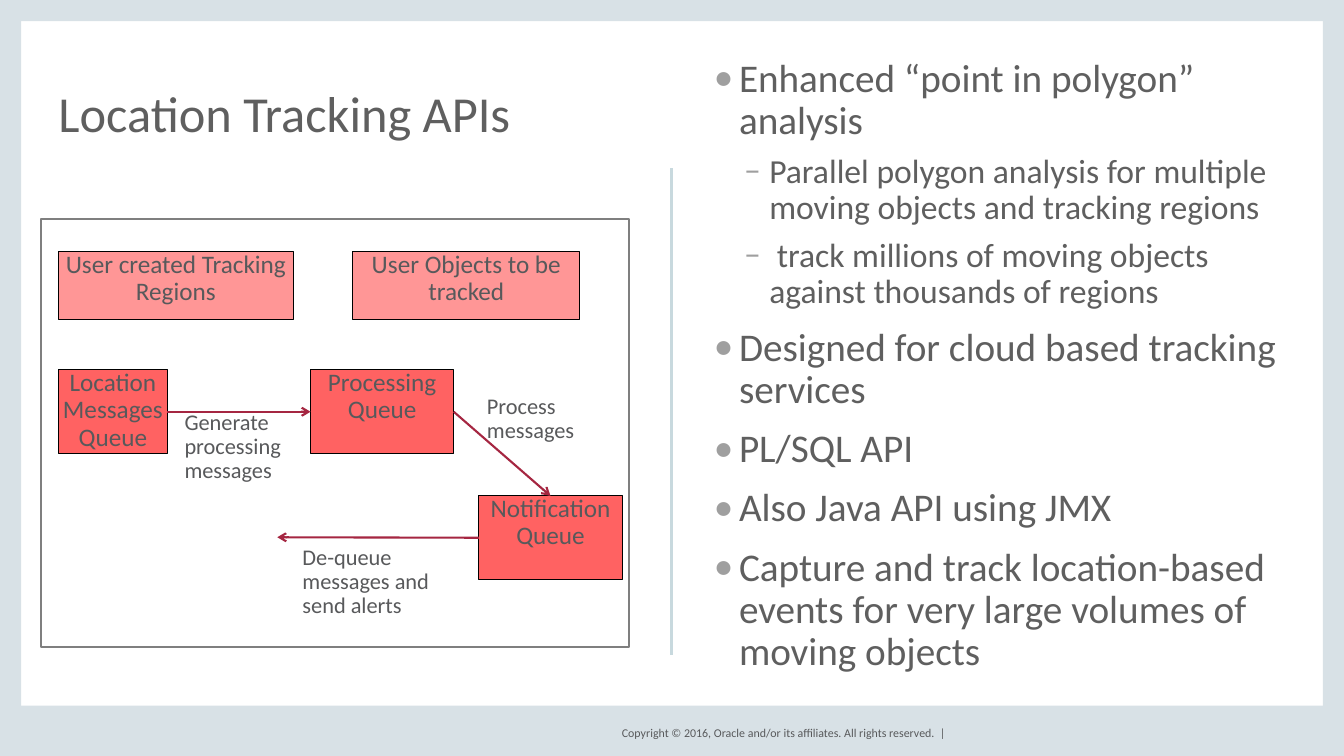
from lxml import etree
from pptx import Presentation
from pptx.dml.color import RGBColor
from pptx.enum.shapes import MSO_CONNECTOR, MSO_SHAPE
from pptx.enum.text import MSO_ANCHOR, PP_ALIGN
from pptx.oxml.ns import qn
from pptx.util import Inches, Pt

RECTANGLE, STRAIGHT = MSO_SHAPE.RECTANGLE, MSO_CONNECTOR.STRAIGHT
LEFT, CENTER, RIGHT = PP_ALIGN.LEFT, PP_ALIGN.CENTER, PP_ALIGN.RIGHT
TOP, MIDDLE, BOTTOM = MSO_ANCHOR.TOP, MSO_ANCHOR.MIDDLE, MSO_ANCHOR.BOTTOM
TOP_SIDE, LEFT_SIDE, RIGHT_SIDE = 0, 1, 3

FONT = "Calibri"
BORDER = RGBColor(0xD8, 0xE1, 0xE6)
DIVIDER = RGBColor(0xC8, 0xD9, 0xDE)
HEADING = RGBColor(0x5F, 0x5F, 0x5F)
LABEL = RGBColor(0x58, 0x59, 0x5B)
BULLET = RGBColor(0x9F, 0x9F, 0x9F)
PANEL_LINE = RGBColor(0x7F, 0x7F, 0x7F)
INPUT_FILL = RGBColor(0xFF, 0x96, 0x96)
QUEUE_FILL = RGBColor(0xFF, 0x62, 0x62)
ARROW = RGBColor(0xA5, 0x26, 0x41)
BLACK = RGBColor(0, 0, 0)

# Content: places are left, top, width, height in inches
WIDTH, HEIGHT = 13.33, 7.5
EDGE, FOOT = 0.21, 0.5
TITLE = "Location Tracking APIs"
FOOTER = "Copyright © 2016, Oracle and/or its affiliates. All rights reserved.  |"
POINTS = [  # level, text
    (0, "Enhanced “point in polygon” analysis"),
    (1, "Parallel polygon analysis for multiple moving objects and tracking regions"),
    (1, " track millions of moving objects against thousands of regions"),
    (0, "Designed for cloud based tracking services"),
    (0, "PL/SQL API"),
    (0, "Also Java API using JMX"),
    (0, "Capture and track location-based events for very large volumes of moving objects"),
]
LEVELS = [  # mark, left margin, size, space before
    ("•", 0.25, 28, 12),
    ("–", 0.55, 24, 8),
]
BOXES = {  # name: text, place, fill
    "regions": ("User created Tracking Regions", (0.58, 2.5, 2.33, 0.67), INPUT_FILL),
    "objects": ("User Objects to be tracked", (3.5, 2.5, 2.25, 0.67), INPUT_FILL),
    "location": ("Location Messages Queue", (0.58, 3.67, 1.08, 0.83), QUEUE_FILL),
    "processing": ("Processing Queue", (3.08, 3.67, 1.42, 0.83), QUEUE_FILL),
    "notification": ("Notification Queue", (4.75, 4.92, 1.42, 0.83), QUEUE_FILL),
}
ARROWS = [  # start box, side, end box, side
    ("location", RIGHT_SIDE, "processing", LEFT_SIDE),
    ("processing", RIGHT_SIDE, "notification", TOP_SIDE),
    ("notification", LEFT_SIDE, None, None),
]
ALERT_END = (2.75, 5.33)
NOTES = [
    ("Generate processing messages", (1.83, 4.08, 1.08, 0.67)),
    ("Process messages", (4.83, 3.92, 0.92, 0.67)),
    ("De-queue messages and send alerts", (3, 5.42, 1.42, 0.67)),
]

deck = Presentation()
deck.slide_width, deck.slide_height = Inches(WIDTH), Inches(HEIGHT)
page = deck.slides.add_slide(deck.slide_layouts[5])


def inches(values):
    return [Inches(value) for value in values]


def set_frame(shape, anchor=TOP, wrap=True):
    frame = shape.text_frame
    frame.margin_left = frame.margin_top = frame.margin_right = frame.margin_bottom = 0
    frame.vertical_anchor = anchor
    frame.word_wrap = wrap
    return frame


def write(para, text, size, color, align=LEFT, spacing=0.9):
    para.alignment = align
    para.line_spacing = spacing
    span = para.add_run()
    span.text = text
    span.font.name = FONT
    span.font.size = Pt(size)
    span.font.color.rgb = color


def add_box(place, fill=None, line=None, weight=0.75):
    box = page.shapes.add_shape(RECTANGLE, *inches(place))
    box.shadow.inherit = False
    if fill is None:
        box.fill.background()
    else:
        box.fill.solid()
        box.fill.fore_color.rgb = fill
    if line is None:
        box.line.fill.background()
    else:
        box.line.color.rgb = line
        box.line.width = Pt(weight)
    return box


def add_line(start, end, color):
    line = page.shapes.add_connector(STRAIGHT, *inches(start + end))
    line.line.color.rgb = color
    line.line.width = Pt(1.5)
    etree.SubElement(line._element.spPr, qn("a:effectLst"))
    return line


def add_bullet(para, mark, margin):
    props = para._p.get_or_add_pPr()
    props.set("marL", str(Inches(margin)))
    props.set("indent", str(Inches(-0.25)))
    color = etree.SubElement(props, qn("a:buClr"))
    etree.SubElement(color, qn("a:srgbClr"), val=str(BULLET))
    etree.SubElement(props, qn("a:buFont"), typeface=FONT)
    etree.SubElement(props, qn("a:buChar"), char=mark)


# Border, footer and divider
for place in [(0, 0, EDGE, HEIGHT), (WIDTH - EDGE, 0, EDGE, HEIGHT),
              (0, HEIGHT - FOOT, WIDTH, FOOT), (0, 0, WIDTH, EDGE)]:
    add_box(place, BORDER)
footer = page.shapes.add_textbox(*inches((5.88, 7.17, 3.5, 0.2)))
write(set_frame(footer, MIDDLE, False).paragraphs[0], FOOTER, 8.5, LABEL, RIGHT, 1.0)
add_line((6.66, 1.67), (6.66, 6.5), DIVIDER)

# Title
title = page.shapes.title
title.left, title.top, title.width, title.height = inches((0.58, 0.44, 12.17, 0.97))
write(set_frame(title, BOTTOM).paragraphs[0], TITLE, 36, HEADING, LEFT, 0.8)

# Bullet points
points = set_frame(page.shapes.add_textbox(*inches((7.08, 0.58, 5.63, 6.18))))
for index, (level, text) in enumerate(POINTS):
    para = points.add_paragraph() if index else points.paragraphs[0]
    mark, margin, size, before = LEVELS[level]
    para.level = level
    add_bullet(para, mark, margin)
    para.space_before = Pt(before if index else 0)
    write(para, text, size, HEADING)

# Diagram panel and boxes
add_box((0.41, 2.17, 5.83, 4.25), line=PANEL_LINE, weight=1.5)
boxes = {}
for name, (text, place, fill) in BOXES.items():
    boxes[name] = add_box(place, fill, BLACK)
    write(set_frame(boxes[name]).paragraphs[0], text, 18, LABEL, CENTER)

# Arrows between the queues
for start, start_side, end, end_side in ARROWS:
    arrow = add_line(ALERT_END, ALERT_END, ARROW)
    arrow.begin_connect(boxes[start], start_side)
    if end:
        arrow.end_connect(boxes[end], end_side)
    etree.SubElement(arrow.line._get_or_add_ln(), qn("a:tailEnd"), type="arrow")

# Arrow labels
for text, place in NOTES:
    note = page.shapes.add_textbox(*inches(place))
    write(set_frame(note).paragraphs[0], text, 16, LABEL)

deck.save("out.pptx")
